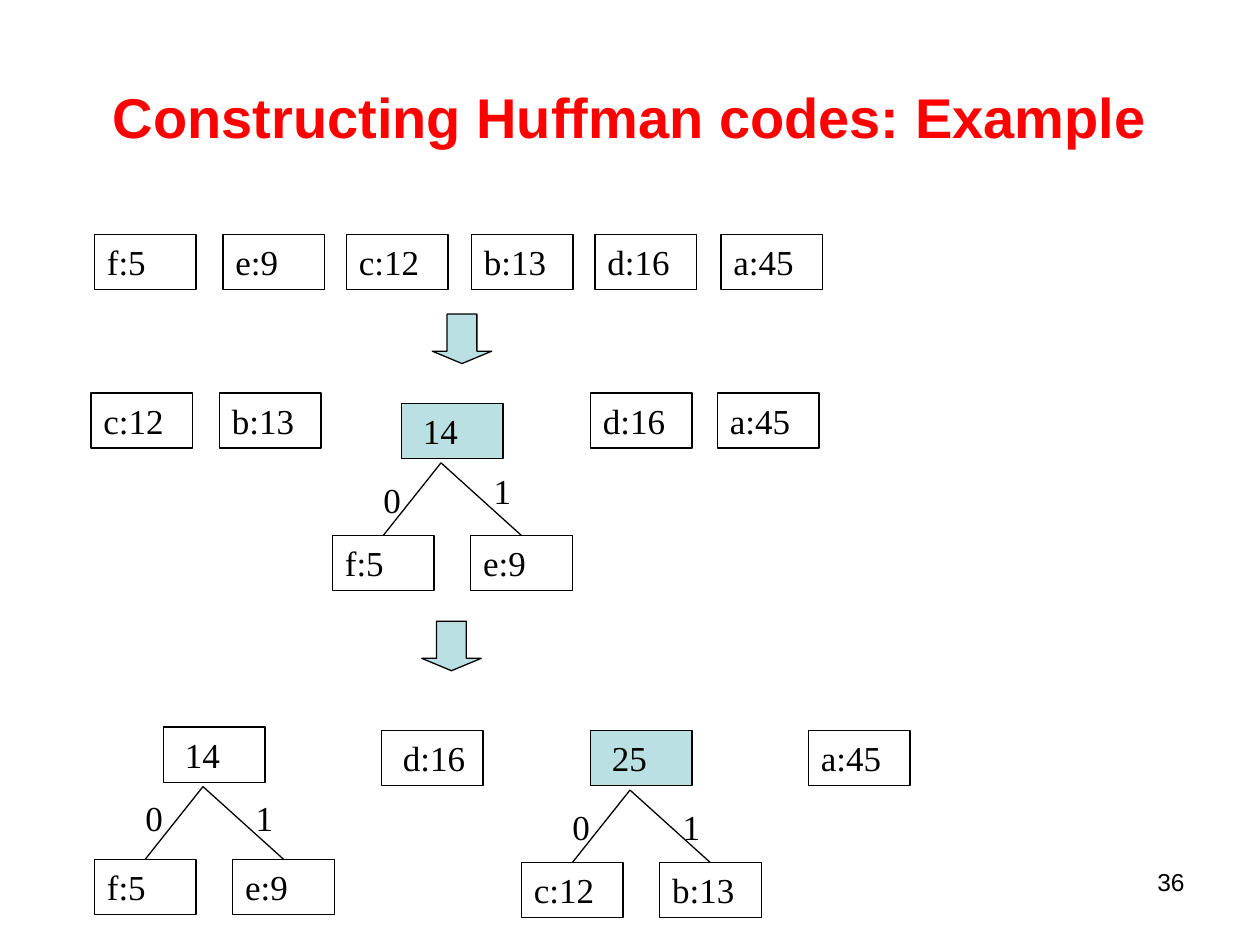
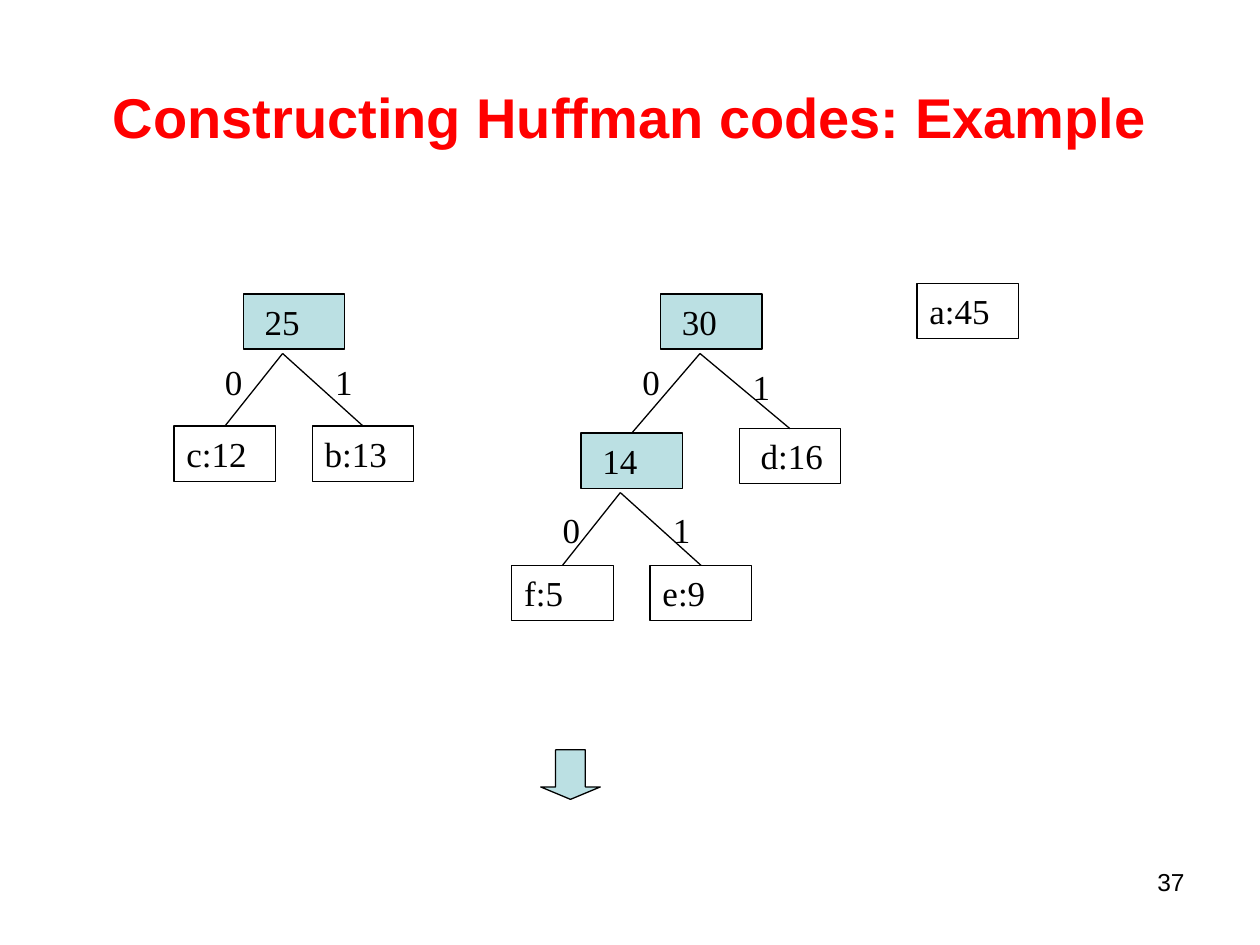
from pptx import Presentation
from pptx.dml.color import RGBColor
from pptx.enum.shapes import MSO_CONNECTOR, MSO_SHAPE
from pptx.enum.text import MSO_ANCHOR, PP_ALIGN
from pptx.util import Pt
from lxml.etree import SubElement
from pptx.oxml.ns import qn

TITLE = "Constructing Huffman codes: Example"
RED, BLACK, TEAL = "FF0000", "000000", "BBE0E3"
SANS, SERIF = "Arial", "Times New Roman"
WIDE, HIGH = 58, 31.5
SPREAD, DROP = 39.5, 75.5
PAD = 12.2

PAGES = [
    {
        "number": "36",
        "rows": [
            (134, [("f:5", 54), ("e:9", 127.5), ("c:12", 198),
                   ("b:13", 269.5), ("d:16", 340), ("a:45", 412)]),
            (224.5, [("c:12", 52), ("b:13", 125.5),
                     ("d:16", 337.5), ("a:45", 410)]),
            (417.5, [("a:45", 462)]),
        ],
        "padded": [("d:16", 218, 417.5)],
        "trees": [
            ("14", 229.5, 230.5, TEAL, "f:5", "e:9", 39.5, 34),
            ("14", 93.5, 415.5, None, "f:5", "e:9", 36, 36),
            ("25", 337.5, 417.5, TEAL, "c:12", "b:13", 39.5, 39.5),
        ],
        "arrows": [(247, 179.5), (241, 355)],
    },
    {
        "number": "37",
        "rows": [(162, [("a:45", 524)])],
        "padded": [("d:16", 422.5, 245)],
        "trees": [
            ("25", 139, 168, TEAL, "c:12", "b:13", 34.5, 34.5),
            ("14", 332, 247.5, TEAL, "f:5", "e:9", 39.5, 39.5),
        ],
        "merge": ("30", 377.5, 168, 34.5, 37.5),
        "arrows": [(309, 428.5)],
    },
]


def color(code):
    return RGBColor.from_string(code)


def write(shape, text, size=20, font=SERIF, ink=BLACK, bold=False,
          align=PP_ALIGN.LEFT, anchor=MSO_ANCHOR.TOP):
    frame = shape.text_frame
    frame.word_wrap = True
    frame.vertical_anchor = anchor
    frame.text = text
    par = frame.paragraphs[0]
    par.alignment = align
    par.font.size = Pt(size)
    par.font.name = font
    par.font.bold = bold
    par.font.color.rgb = color(ink)


def label(page, text, x, y, wide, high, **style):
    area = page.shapes.add_textbox(Pt(x), Pt(y), Pt(wide), Pt(high))
    write(area, text, **style)


def draw(page, kind, x, y, wide, high, fill=None):
    shape = page.shapes.add_shape(kind, Pt(x), Pt(y), Pt(wide), Pt(high))
    shape.shadow.inherit = False
    if fill:
        shape.fill.solid()
        shape.fill.fore_color.rgb = color(fill)
    else:
        shape.fill.background()
    shape.line.color.rgb = color(BLACK)
    shape.line.width = Pt(0.75)
    return shape


def box(page, text, x, y, fill=None, pad=7.2):
    shape = draw(page, MSO_SHAPE.RECTANGLE, x, y, WIDE, HIGH, fill)
    write(shape, text)
    shape.text_frame.margin_left = Pt(pad)
    return shape


def fork(page, root, left, right, zero, one):
    x, y = root.left.pt, root.top.pt
    for leaf in (left, right):
        edge = page.shapes.add_connector(
            MSO_CONNECTOR.STRAIGHT, Pt(x + 22.5), Pt(y + 34), 0, 0)
        edge.end_connect(leaf, 0)
        edge.line.color.rgb = color(BLACK)
        edge.line.width = Pt(0.75)
        SubElement(edge._element.spPr, qn("a:effectLst"))
    for bit, shift, down in (("0", -17.5, zero), ("1", 45.5, one)):
        label(page, bit, x + shift, y + down, 22.5, HIGH)


def tree(page, name, x, y, fill, left, right, zero, one):
    root = box(page, name, x, y, fill, PAD)
    leaves = [box(page, text, x + shift, y + DROP)
              for text, shift in ((left, -SPREAD), (right, SPREAD))]
    fork(page, root, *leaves, zero, one)
    return root


def build(deck, plan):
    page = deck.slides.add_slide(deck.slide_layouts[6])
    label(page, TITLE, 36, 21.6, 648, 90, size=32, font=SANS, ink=RED,
          bold=True, align=PP_ALIGN.CENTER, anchor=MSO_ANCHOR.MIDDLE)
    for y, cells in plan["rows"]:
        for text, x in cells:
            box(page, text, x, y)
    padded = [box(page, *spot, pad=PAD) for spot in plan["padded"]]
    roots = [tree(page, *spec) for spec in plan["trees"]]
    if "merge" in plan:
        name, x, y, zero, one = plan["merge"]
        root = box(page, name, x, y, TEAL, PAD)
        fork(page, root, roots[-1], padded[0], zero, one)
    for x, y in plan["arrows"]:
        arrow = draw(page, MSO_SHAPE.DOWN_ARROW, x, y, 34, 28.3, TEAL)
        arrow.adjustments[0] = 0.5
        arrow.adjustments[1] = 0.25
    label(page, plan["number"], 516, 492, 168, 37.5, size=14, font=SANS,
          align=PP_ALIGN.RIGHT)


def main():
    deck = Presentation()
    deck.slide_width, deck.slide_height = Pt(720), Pt(540)
    for plan in PAGES:
        build(deck, plan)
    deck.save("out.pptx")


if __name__ == "__main__":
    main()
